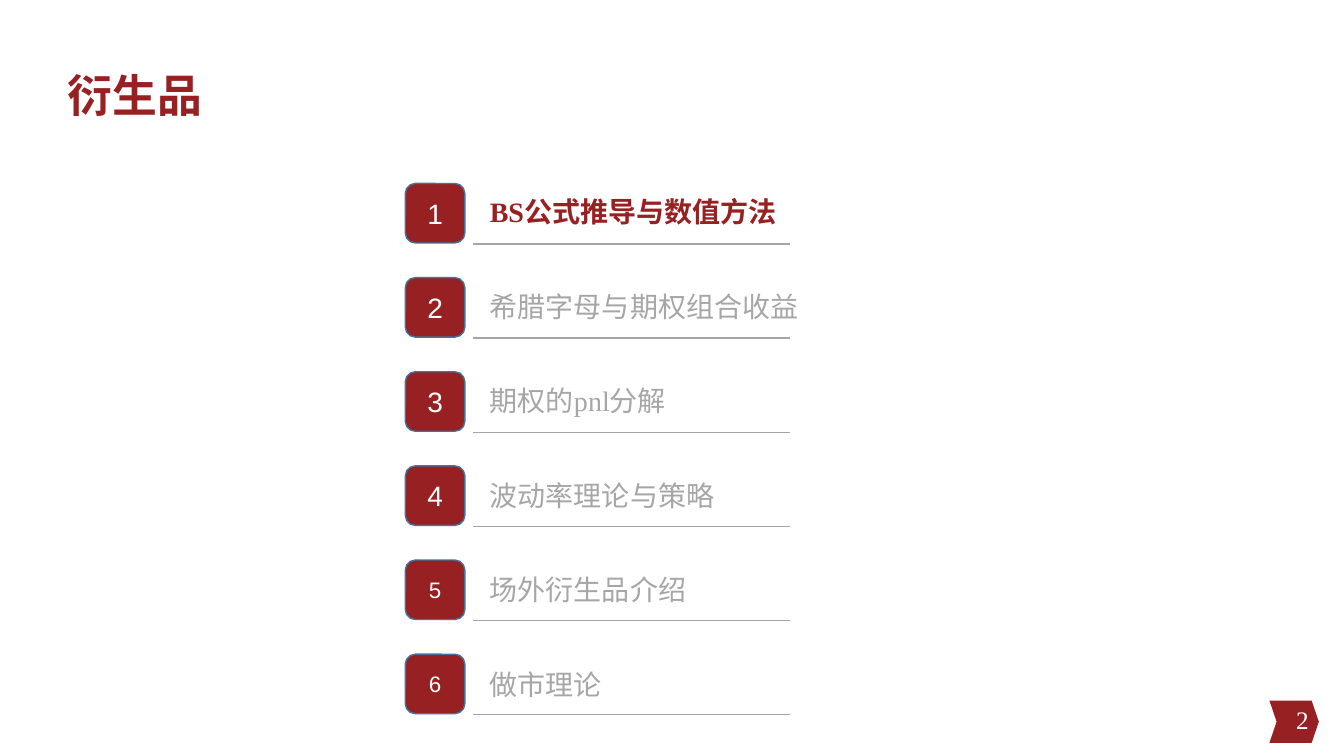
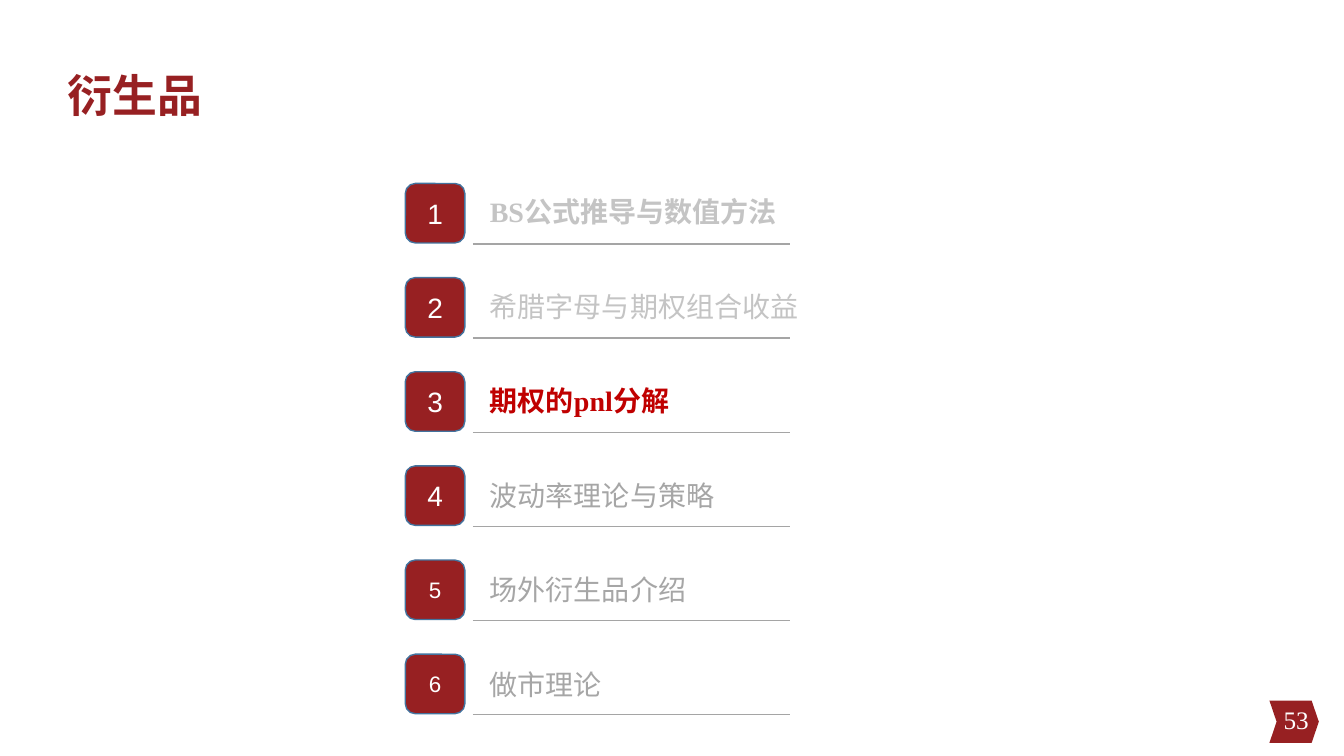
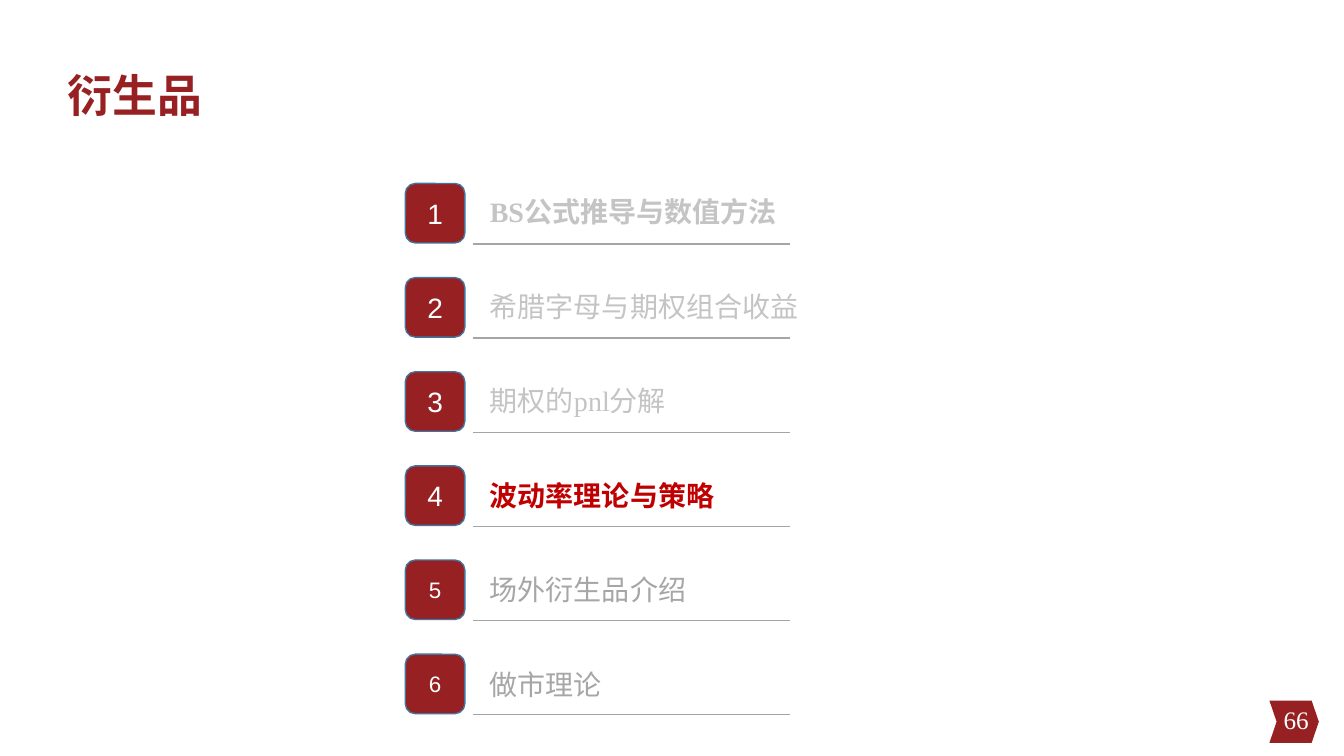
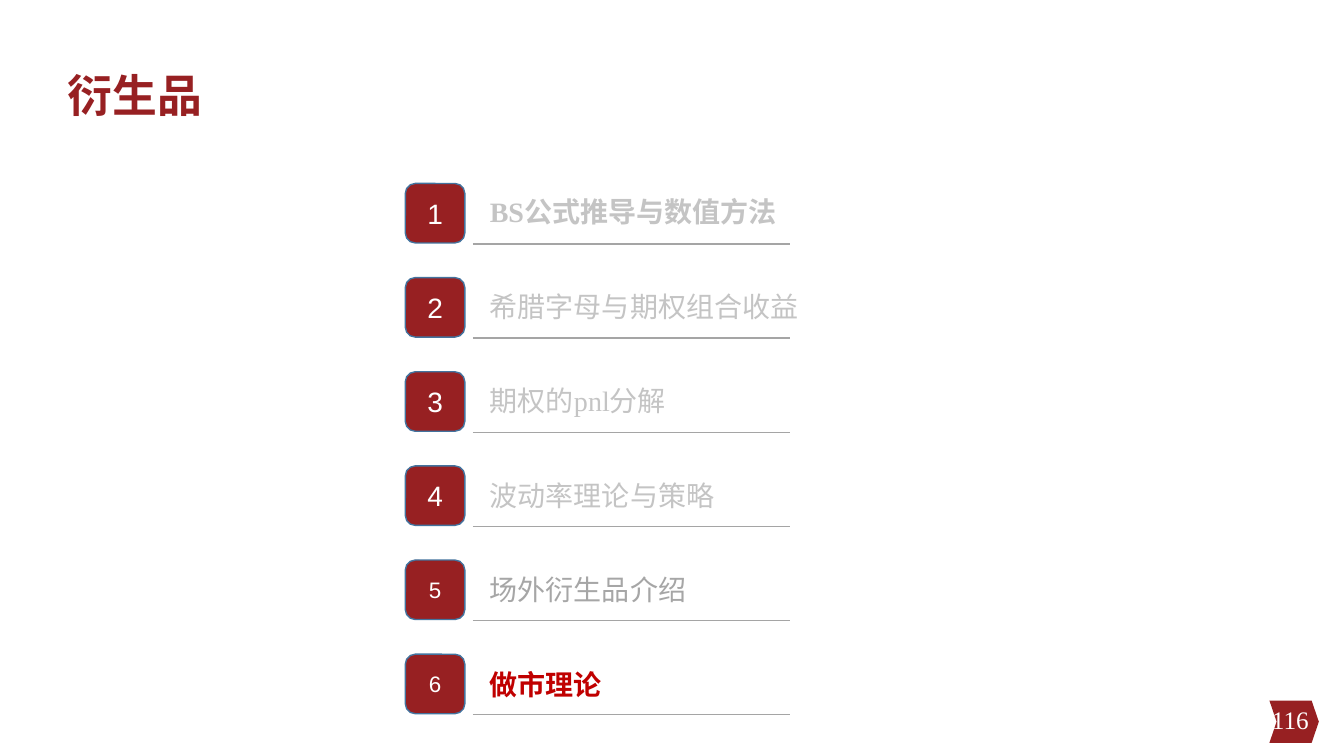
from dataclasses import dataclass

from lxml.etree import SubElement
from pptx import Presentation
from pptx.dml.color import RGBColor
from pptx.enum.shapes import MSO_CONNECTOR, MSO_SHAPE
from pptx.enum.text import MSO_ANCHOR, MSO_AUTO_SIZE, PP_ALIGN
from pptx.oxml.ns import qn
from pptx.shapes.autoshape import Shape
from pptx.slide import Slide
from pptx.util import Inches, Pt

COLORS = {
    "brand": "972022",
    "accent": "C00000",
    "pending": "A6A6A6",
    "done": "C4C4C4",
    "rule": "A5A5A5",
    "border": "43739E",
    "white": "FFFFFF",
}
SERIF = "Times New Roman"
SANS = "Arial"
BADGE_TOP, BADGE_SIZE = 1.82, 0.59
RULE_TOP = 2.42
LABEL_TOP = 1.88
BADGE_PITCH = (6.49 - BADGE_TOP) / 5
LABEL_PITCH = (6.57 - LABEL_TOP) / 5


@dataclass(frozen=True)
class Topic:
    label: str
    number_size: int = 20
    always_bold: bool = False


@dataclass(frozen=True)
class Agenda:
    page: int
    current: int
    done: int
    highlight: str = "accent"


TOPICS = [
    Topic("BS公式推导与数值方法", always_bold=True),
    Topic("希腊字母与期权组合收益"),
    Topic("期权的pnl分解"),
    Topic("波动率理论与策略"),
    Topic("场外衍生品介绍", number_size=16),
    Topic("做市理论", number_size=16),
]
AGENDAS = [
    Agenda(page=2, current=1, done=0, highlight="brand"),
    Agenda(page=53, current=3, done=2),
    Agenda(page=66, current=4, done=3),
    Agenda(page=116, current=6, done=4),
]


def rgb(name: str) -> RGBColor:
    return RGBColor.from_string(COLORS[name])


def write(sp: Shape, text: str, size: int, color: str, font: str = SERIF,
          bold: bool = False, align: PP_ALIGN = PP_ALIGN.LEFT,
          anchor: MSO_ANCHOR = MSO_ANCHOR.TOP) -> None:
    tf = sp.text_frame
    tf.word_wrap = True
    tf.vertical_anchor = anchor
    p = tf.paragraphs[0]
    p.text = text
    p.alignment = align
    p.font.name = font
    p.font.size = Pt(size)
    p.font.bold = bold
    p.font.color.rgb = rgb(color)


def add_filled(s: Slide, kind: MSO_SHAPE, left: float, top: float,
               width: float, height: float) -> Shape:
    sp = s.shapes.add_shape(kind, Inches(left), Inches(top),
                            Inches(width), Inches(height))
    sp.shadow.inherit = False
    sp.fill.solid()
    sp.fill.fore_color.rgb = rgb("brand")
    sp.line.fill.background()
    return sp


def add_title(s: Slide, text: str) -> None:
    sp = s.shapes.title
    sp.left, sp.top = Inches(0.57), Inches(0.62)
    sp.width, sp.height = Inches(11.5), Inches(0.85)
    sp.text_frame.auto_size = MSO_AUTO_SIZE.NONE
    write(sp, text, 32, "brand", bold=True)


def add_page_number(s: Slide, page: int) -> None:
    chevron = add_filled(s, MSO_SHAPE.CHEVRON, 12.59, 6.95, 0.49, 0.42)
    chevron.adjustments[0] = 0.17
    sp = s.shapes.add_textbox(Inches(10.08), Inches(6.94), Inches(3), Inches(0.4))
    write(sp, str(page), 18, "white", align=PP_ALIGN.RIGHT, anchor=MSO_ANCHOR.MIDDLE)


def add_badge(s: Slide, number: int, size: int, top: float) -> None:
    sp = add_filled(s, MSO_SHAPE.ROUNDED_RECTANGLE, 4.02, top, BADGE_SIZE, BADGE_SIZE)
    sp.line.color.rgb = rgb("border")
    sp.line.width = Pt(1)
    write(sp, str(number), size, "white", font=SANS,
          align=PP_ALIGN.CENTER, anchor=MSO_ANCHOR.MIDDLE)


def add_rule(s: Slide, top: float) -> None:
    line = s.shapes.add_connector(MSO_CONNECTOR.STRAIGHT, Inches(4.69), Inches(top),
                                  Inches(7.84), Inches(top))
    line.line.color.rgb = rgb("rule")
    line.line.width = Pt(1)
    SubElement(line._element.spPr, qn("a:effectLst"))


def add_topic(s: Slide, number: int, topic: Topic, agenda: Agenda) -> None:
    row = number - 1
    add_badge(s, number, topic.number_size, BADGE_TOP + row * BADGE_PITCH)
    add_rule(s, RULE_TOP + row * BADGE_PITCH)

    is_current = number == agenda.current
    if is_current:
        color = agenda.highlight
    else:
        color = "done" if number <= agenda.done else "pending"
    sp = s.shapes.add_textbox(Inches(4.76), Inches(LABEL_TOP + row * LABEL_PITCH),
                              Inches(4.87), Inches(0.44))
    write(sp, topic.label, 20, color, bold=is_current or topic.always_bold)
    sp.text_frame.auto_size = MSO_AUTO_SIZE.SHAPE_TO_FIT_TEXT


def add_agenda(prs: Presentation, agenda: Agenda) -> None:
    s = prs.slides.add_slide(prs.slide_layouts.get_by_name("Title Only"))
    add_title(s, "衍生品")
    add_page_number(s, agenda.page)
    for number, topic in enumerate(TOPICS, start=1):
        add_topic(s, number, topic, agenda)


def main() -> None:
    prs = Presentation()
    prs.slide_width, prs.slide_height = Inches(13.33), Inches(7.5)
    for agenda in AGENDAS:
        add_agenda(prs, agenda)
    prs.save("out.pptx")


if __name__ == "__main__":
    main()
